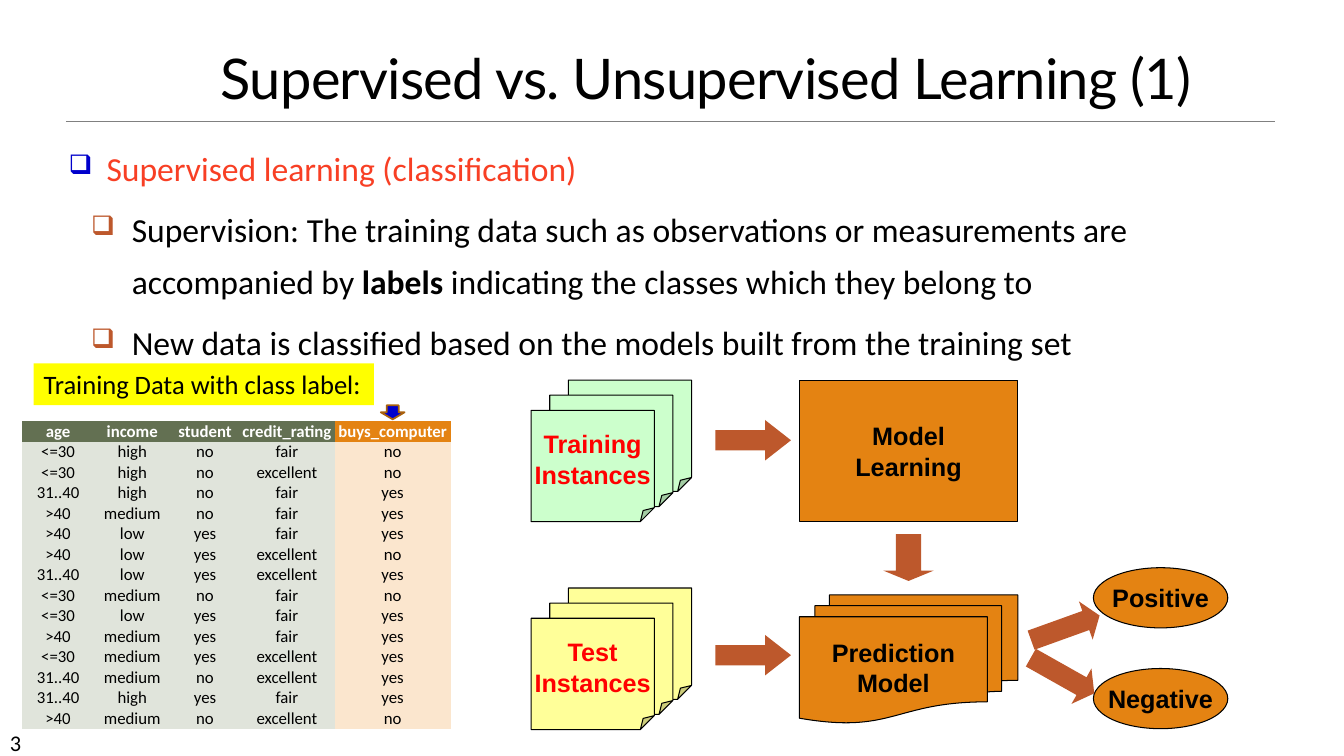
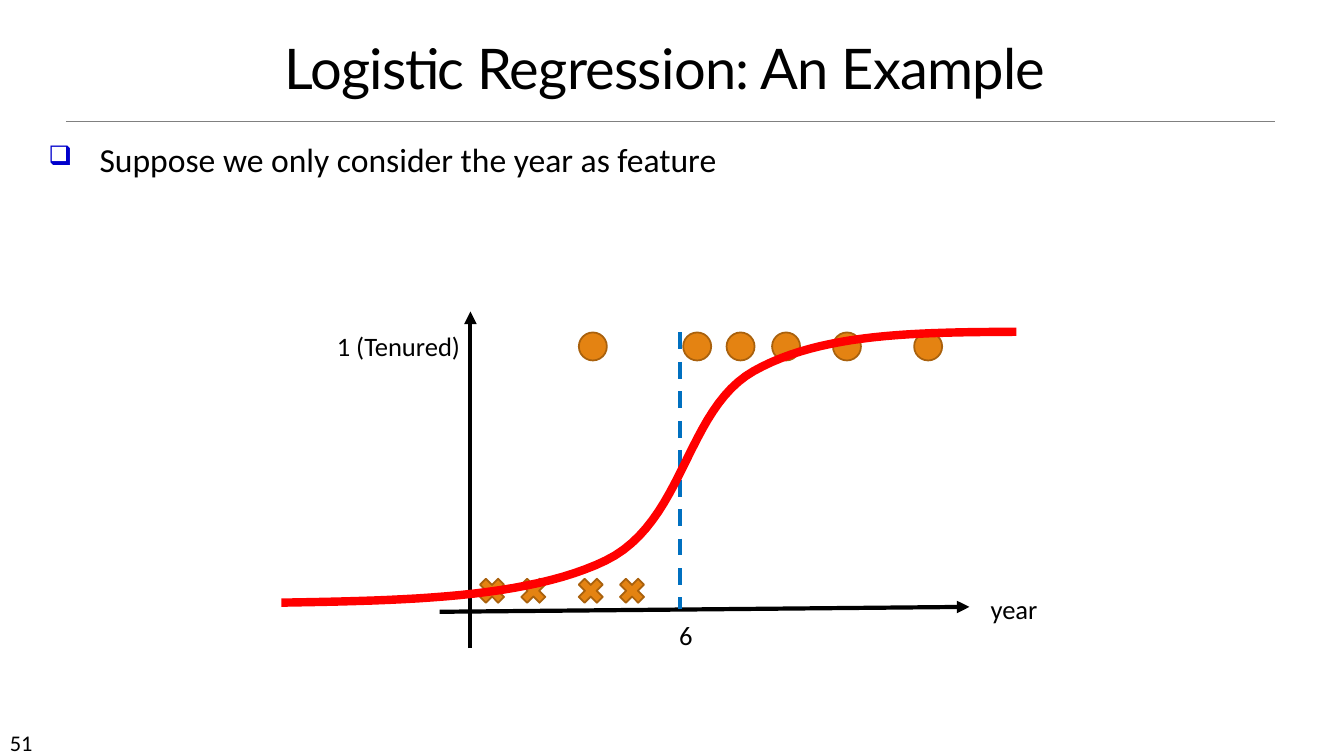
import lxml.etree
import pptx
import pptx.dml.color
import pptx.enum.dml
import pptx.enum.shapes
import pptx.enum.text
import pptx.oxml.ns
import pptx.util

Pt = pptx.util.Pt
qn = pptx.oxml.ns.qn
Form = pptx.enum.shapes.MSO_SHAPE
Align = pptx.enum.text.PP_ALIGN
Anchor = pptx.enum.text.MSO_ANCHOR
Fit = pptx.enum.text.MSO_AUTO_SIZE

BLACK, WHITE, RED, GREY = "000000", "FFFFFF", "FF0000", "808080"
ORANGE, BROWN, RUST = "E48312", "A9610D", "BD582C"
NAVY, BLUE, CORAL, YELLOW = "0000CC", "0070C0", "F83F24", "FFFF00"
MINT, LEMON = "CCFFCC", "FFFF99"
MOSS, SAGE, PEACH = "637052", "E0E4DB", "FBE6CE"

# Left indent and hanging indent pairs for bullets
TIGHT, INNER, WIDE = (27, 27), (45, 29), (36.5, 36.5)

BUYERS = """
<=30 high no fair no
<=30 high no excellent no
31..40 high no fair yes
>40 medium no fair yes
>40 low yes fair yes
>40 low yes excellent no
31..40 low yes excellent yes
<=30 medium no fair no
<=30 low yes fair yes
>40 medium yes fair yes
<=30 medium yes excellent yes
31..40 medium no excellent yes
31..40 high yes fair yes
>40 medium no excellent no
"""


def tint(code):
    return pptx.dml.color.RGBColor.from_string(code)


def node(parent, tag, **attrs):
    return lxml.etree.SubElement(parent, qn(tag), attrs)


def style(font, size, color, face="Calibri", bold=False):
    font.size, font.name, font.bold = Pt(size), face, bold
    font.color.rgb = tint(color)


class Deck:
    """Holds the presentation, the shared style and the current slide."""

    def __init__(self):
        self.file = pptx.Presentation()
        self.file.slide_width, self.file.slide_height = Pt(960), Pt(540)
        self.slide = None

    def page(self, title, number, box):
        self.slide = self.file.slides.add_slide(self.file.slide_layouts[5])
        head = self.slide.shapes.title
        head.left, head.top, head.width, head.height = map(Pt, box)
        frame = head.text_frame
        frame.text = title
        frame.auto_size, frame.word_wrap = Fit.NONE, True
        frame.vertical_anchor = Anchor.BOTTOM
        para = frame.paragraphs[0]
        para.alignment, para.line_spacing = Align.CENTER, 0.85
        run = para.runs[0]
        style(run.font, 40, BLACK, "Lato")
        run.font._element.set("spc", "-50")
        self.line((47, 86.5), (911, 86.5), GREY, 0.5)
        self.text(number, (0, 517, 84, 22), 16)

    def text(self, words, box, size=19, wrap=False):
        frame = self.slide.shapes.add_textbox(*map(Pt, box)).text_frame
        frame.word_wrap = wrap
        frame.text = words
        style(frame.paragraphs[0].runs[0].font, size, BLACK)

    def points(self, box, items, pitch):
        """Add bullets; an item is (runs, colour, bullet colour, indents, level).

        Every second run of an item is bold.
        """
        frame = self.slide.shapes.add_textbox(*map(Pt, box)).text_frame
        frame.word_wrap = True
        for i, (parts, color, mark, (left, hang), level) in enumerate(items):
            para = frame.add_paragraph() if i else frame.paragraphs[0]
            props = para._p.get_or_add_pPr()
            props.set("marL", str(Pt(left)))
            props.set("indent", str(-Pt(hang)))
            node(node(props, "a:buClr"), "a:srgbClr", val=mark)
            node(props, "a:buSzPct", val="80000")
            node(props, "a:buChar", char="❑")
            para.level, para.line_spacing = level, pitch
            if i:
                para.space_before = Pt(6)
            for j, part in enumerate(parts):
                run = para.add_run()
                run.text = part
                style(run.font, 24, color, bold=j % 2 == 1)

    def shape(self, form, box, fill, edge=None, width=0.75, turn=0, adjust=None):
        """Add a preset shape; adjust maps guide names to fractions."""
        item = self.slide.shapes.add_shape(form, *map(Pt, box))
        item.shadow.inherit = False
        item.rotation = turn
        if adjust:
            guides = item.element.find(".//" + qn("a:avLst"))
            guides.clear()
            for name, value in adjust.items():
                node(guides, "a:gd", name=name, fmla=f"val {round(value * 100000)}")
        item.fill.solid()
        item.fill.fore_color.rgb = tint(fill)
        if edge:
            item.line.color.rgb = tint(edge)
            item.line.width = Pt(width)
        else:
            item.line.fill.background()
        return item

    def label(self, item, words, color=BLACK):
        frame = item.text_frame
        frame.text = words
        frame.word_wrap = False
        frame.vertical_anchor = Anchor.MIDDLE
        for para in frame.paragraphs:
            para.alignment = Align.CENTER
            style(para.runs[0].font, 18, color, "Arial", True)

    def block(self, form, box, words):
        self.label(self.shape(form, box, ORANGE, BLACK), words)

    def arrow(self, box, head, turn=0, form=Form.RIGHT_ARROW):
        self.shape(form, box, RUST, turn=turn, adjust={"adj1": 0.5, "adj2": head})

    def pile(self, top, fill, words):
        """Stack three folded sheets, with the words on the front one."""
        for i in range(3):
            box = (406 - 13.3 * i, top + 10.8 * i, 88, 79.5)
            sheet = self.shape(Form.FOLDED_CORNER, box, fill, BLACK,
                               adjust={"adj": 0.125})
        self.label(sheet, words, RED)

    def line(self, start, end, color, width, dash=False, arrow=False):
        kind = pptx.enum.shapes.MSO_CONNECTOR.STRAIGHT
        item = self.slide.shapes.add_connector(kind, *map(Pt, start + end))
        item.line.color.rgb = tint(color)
        item.line.width = Pt(width)
        if dash:
            item.line.dash_style = pptx.enum.dml.MSO_LINE.DASH
        props = item.element.find(qn("p:spPr"))
        if arrow:
            node(props.find(qn("a:ln")), "a:tailEnd", type="triangle")
        node(props, "a:effectLst")

    def curve(self, start, bends, color, width):
        """Draw cubic Bezier bends, each two controls and an end, as short steps."""
        steps, dots = 24, []
        first = start
        for bend in bends:
            ends = (start,) + bend
            for i in range(1, steps + 1):
                t = i / steps
                u = 1 - t
                parts = (u ** 3, 3 * u * u * t, 3 * u * t * t, t ** 3)
                dots.append(tuple(
                    Pt(sum(p * end[axis] for p, end in zip(parts, ends)))
                    for axis in (0, 1)))
            start = bend[-1]
        pen = self.slide.shapes.build_freeform(*map(Pt, first))
        pen.add_line_segments(dots, close=False)
        item = pen.convert_to_shape()
        item.shadow.inherit = False
        item.fill.background()
        item.line.color.rgb = tint(color)
        item.line.width = Pt(width)

    def table(self, spot, widths, height, rows):
        """Add a table with a dark head row and an accented last column."""
        last = len(widths) - 1
        size = (sum(widths), height * len(rows))
        item = self.slide.shapes.add_table(
            len(rows), len(widths), *map(Pt, spot + size))
        plain = item.element.find(".//" + qn("a:tableStyleId"))
        plain.text = "{2D5ABB26-0587-4C30-8999-92F81FD0307C}"
        grid = item.table
        for col, width in zip(grid.columns, widths):
            col.width = Pt(width)
        for i, row in enumerate(rows):
            grid.rows[i].height = Pt(height)
            for j, words in enumerate(row):
                cell = grid.cell(i, j)
                cell.margin_left = cell.margin_right = 0
                cell.margin_top = cell.margin_bottom = 0
                cell.vertical_anchor = Anchor.MIDDLE
                fills = (SAGE, PEACH) if i else (MOSS, ORANGE)
                cell.fill.solid()
                cell.fill.fore_color.rgb = tint(fills[j == last])
                cell.text_frame.text = words
                para = cell.text_frame.paragraphs[0]
                para.alignment = Align.CENTER
                style(para.runs[0].font, 12, BLACK if i else WHITE, bold=i == 0)


def learning(deck):
    deck.page("Supervised vs. Unsupervised Learning (1)", "3", (72, 13, 865, 70))
    deck.points((42, 93.6, 854, 172), [
        (["Supervised learning (classification)"], CORAL, NAVY, TIGHT, 0),
        (["Supervision: The training data such as observations or measurements "
          "are accompanied by ", "labels",
          " indicating the classes which they belong to"], BLACK, RUST, INNER, 1),
        (["New data is classified based on the models built from the training set"],
         BLACK, RUST, INNER, 1)], 1.3)
    tag = (24, 259.5, 243, 30)
    deck.shape(Form.RECTANGLE, tag, YELLOW)
    deck.text("Training Data with class label:", tag)
    deck.shape(Form.DOWN_ARROW, (272, 289.5, 17, 10), NAVY, BROWN, 1.25)

    deck.block(Form.RECTANGLE, (571, 271.5, 156, 101), "Model\nLearning")
    deck.block(Form.FLOWCHART_MULTIDOCUMENT, (571, 425, 156, 91.5),
               "Prediction\nModel")
    for top, words in ((405.5, "Positive"), (477.5, "Negative")):
        deck.block(Form.OVAL, (781, top, 96, 43), words)
    for top in (300, 453.5):
        deck.arrow((511, top, 54, 29), 0.64)
    deck.arrow((631, 381.5, 36, 33.5), 0.22, form=Form.DOWN_ARROW)
    deck.arrow((735, 434, 52, 29), 0.36, 340.2)
    deck.arrow((733, 468, 52, 29), 0.36, 29.4)
    deck.pile(271.5, MINT, "Training\nInstances")
    deck.pile(420, LEMON, "Test\nInstances")

    head = "age income student credit_rating buys_computer"
    rows = [row.split() for row in [head] + BUYERS.strip().splitlines()]
    deck.table((16, 301), (51, 55, 49, 68, 83), 14.64, rows)


def logistic(deck):
    deck.page("Logistic Regression: An Example", "51", (27.5, 17.5, 895, 58))
    deck.points((27.5, 96, 898, 424), [
        (["Suppose we only consider the year as feature"],
         BLACK, NAVY, WIDE, 0)], 1)
    deck.line((336, 463), (336, 222.5), BLACK, 3, arrow=True)
    deck.line((314, 437), (692.5, 433.5), BLACK, 3, arrow=True)
    for left in (339, 368.5, 409.5, 439):
        deck.shape(Form.MATH_MULTIPLY, (left, 409.5, 25, 25), ORANGE, BROWN, 1.25)
    for left in (413.5, 488, 519, 551.5, 595, 653):
        deck.shape(Form.OVAL, (left, 237.5, 20, 20), ORANGE, BROWN, 1.25)
    deck.line((485.5, 237.5), (485.5, 435), BLUE, 3, dash=True)
    deck.curve((201, 430.5), [
        ((289, 429), (376.5, 427.5), (432.5, 400.5)),
        ((489, 373), (489.5, 292.5), (538.5, 265)),
        ((587.5, 237.5), (656.5, 237.5), (726, 237))], RED, 6)
    deck.text("year", (700.5, 420, 48, 30))
    deck.text("6", (478, 438.5, 24, 30))
    deck.text("1 (Tenured)", (233.5, 232, 104, 30))


def main():
    deck = Deck()
    learning(deck)
    logistic(deck)
    deck.file.save("out.pptx")


if __name__ == "__main__":
    main()
